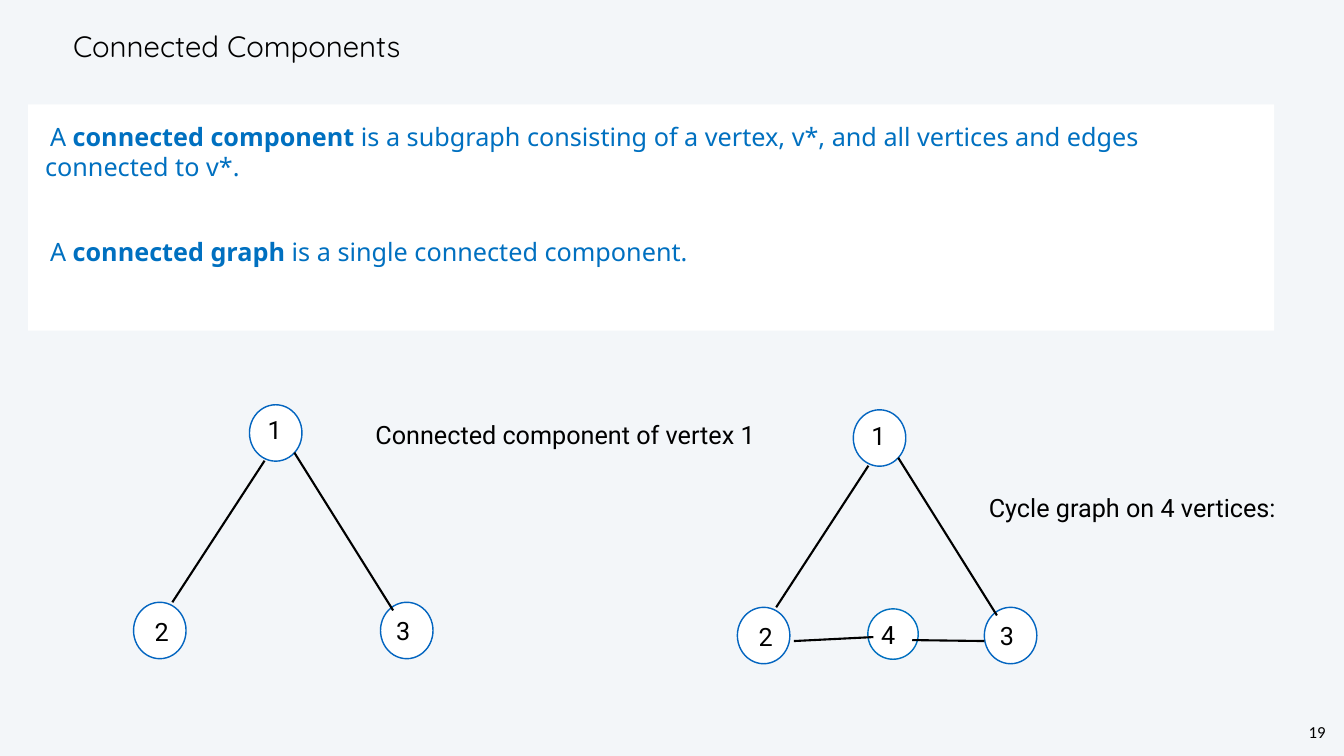
"""Build the slide on connected components."""
import lxml.etree
import pptx
import pptx.dml.color
import pptx.enum.shapes
import pptx.enum.text
import pptx.oxml.ns
import pptx.util

Pt = pptx.util.Pt
Align = pptx.enum.text.PP_ALIGN
Anchor = pptx.enum.text.MSO_ANCHOR
AutoSize = pptx.enum.text.MSO_AUTO_SIZE

COLORS = {
    "background": "F3F6F9",
    "panel": "FFFFFF",
    "ink": "000000",
    "definition": "0070C0",
    "vertex": "0365C0",
}
FONTS = {
    "title": {"name": "Quicksand", "size": Pt(42), "bold": False},
    "definition": {"name": "Noto Sans", "size": Pt(36)},
    "label": {"name": "Roboto", "size": Pt(36)},
    "number": {"name": "Calibri", "size": Pt(24)},
}
FRAMES = {
    "title": {"vertical_anchor": Anchor.MIDDLE, "auto_size": AutoSize.NONE},
    "definition": {"vertical_anchor": Anchor.TOP, "auto_size": AutoSize.NONE},
    "label": {"vertical_anchor": Anchor.MIDDLE, "auto_size": AutoSize.SHAPE_TO_FIT_TEXT},
    "number": {"vertical_anchor": Anchor.TOP, "auto_size": AutoSize.SHAPE_TO_FIT_TEXT},
}
INSETS = {"title": 4.3, "definition": 24, "label": 4.3, "number": 3}

VERTEX_SIZE = (75, 80.6)
VERTICES = [(165.6, 0), (0, 282.2), (352.8, 282.2)]
VERTEX_LABELS = [("2", 25.9, 298.1), ("1", 187.2, 10), ("3", 370.8, 296.6)]
SIDES = [(187.2, 79.9, 55.4, 282.2), (229.7, 68.4, 370.8, 293.8)]
BASE = [(80.6, 330.4, 194.4, 324.7), (249.8, 329, 352.8, 330.4)]
DEFINITIONS = [
    ("connected component ",
     "is a subgraph consisting of a vertex, v*, and all vertices and edges connected to v*."),
    ("connected graph ", "is a single connected component."),
]


def rgb(key):
    return pptx.dml.color.RGBColor.from_string(COLORS[key])


def assign(target, values):
    for name, value in values.items():
        setattr(target, name, value)


class GraphSlide:
    """Holds the style and the current slide."""

    def __init__(self, deck):
        self.slide = deck.slides.add_slide(deck.slide_layouts[1])
        self.paint(self.slide.background.fill, "background")

    def paint(self, fill, color):
        fill.solid()
        fill.fore_color.rgb = rgb(color)

    def place(self, shape, left, top, width, height):
        assign(shape, {"left": Pt(left), "top": Pt(top), "width": Pt(width), "height": Pt(height)})

    def frame(self, shape, style, wrap=True):
        inset = Pt(INSETS[style])
        sides = ("margin_left", "margin_top", "margin_right", "margin_bottom")
        assign(shape.text_frame, dict.fromkeys(sides, inset) | FRAMES[style] | {"word_wrap": wrap})
        return shape.text_frame

    def add_words(self, paragraph, text, style, color="ink", **extra):
        run = paragraph.add_run()
        run.text = text
        assign(run.font, FONTS[style] | extra)
        run.font.color.rgb = rgb(color)

    def title(self, text, *box):
        heading = self.slide.shapes.title
        self.place(heading, *box)
        paragraph = self.frame(heading, "title").paragraphs[0]
        assign(paragraph, {"alignment": Align.LEFT, "line_spacing": Pt(50)})
        self.add_words(paragraph, text, "title")

    def definitions(self, entries, *box):
        panel = self.slide.placeholders[1]
        self.place(panel, *box)
        self.paint(panel.fill, "panel")
        frame = self.frame(panel, "definition")
        for index, (term, meaning) in enumerate(entries):
            paragraph = frame.add_paragraph() if index else frame.paragraphs[0]
            properties = paragraph._p.get_or_add_pPr()
            properties.set("marL", "0")
            properties.set("indent", str(Pt(7.2)))
            lxml.etree.SubElement(properties, pptx.oxml.ns.qn("a:buNone"))
            assign(paragraph, {"alignment": Align.LEFT, "line_spacing": Pt(43),
                               "space_before": Pt(79 if index else 0)})
            for text, bold in (("A ", False), (term, True), (meaning, False)):
                self.add_words(paragraph, text, "definition", "definition", bold=bold)

    def text(self, text, *box, shapes=None, style="label", wrap=False, **layout):
        label = (shapes or self.slide.shapes).add_textbox(*map(Pt, box))
        paragraph = self.frame(label, style, wrap).paragraphs[0]
        assign(paragraph, layout)
        self.add_words(paragraph, text, style)

    def vertex(self, shapes, *box, color="vertex"):
        circle = shapes.add_shape(pptx.enum.shapes.MSO_SHAPE.OVAL, *map(Pt, box))
        circle.shadow.inherit = False
        self.paint(circle.fill, "panel")
        circle.line.width = Pt(2)
        circle.line.color.rgb = rgb(color)

    def edge(self, shapes, *ends):
        line = shapes.add_connector(pptx.enum.shapes.MSO_CONNECTOR.STRAIGHT, *map(Pt, ends))
        line.line.width = Pt(3)
        line.line.color.rgb = rgb("ink")
        lxml.etree.SubElement(line._element.spPr, pptx.oxml.ns.qn("a:effectLst"))

    def graph(self, left, top, cycle=False):
        shapes = self.slide.shapes.add_group_shape().shapes
        for x, y in VERTICES:
            self.vertex(shapes, left + x, top + y, *VERTEX_SIZE)
        for name, x, y in VERTEX_LABELS:
            self.text(name, left + x, top + y, 78, 52, shapes=shapes, wrap=True)
        if cycle:
            self.vertex(shapes, left + 186.4, top + 284.4, 72, 72, color="definition")
        for x1, y1, x2, y2 in SIDES + (BASE if cycle else []):
            self.edge(shapes, left + x1, top + y1, left + x2, top + y2)
        if cycle:
            self.text("4", left + 200.9, top + 295.2, 78, 52, wrap=True)


def main():
    deck = pptx.Presentation()
    assign(deck, {"slide_width": Pt(1920), "slide_height": Pt(1080)})
    page = GraphSlide(deck)
    page.title("Connected Components", 100, 30, 1628.6, 71.3)
    page.definitions(DEFINITIONS, 40.3, 149, 1779.8, 323.3)
    page.graph(1053.4, 585.4, cycle=True)
    page.text("Cycle graph on 4 vertices:", 1408.3, 698.4, 428.4, 52)
    page.graph(190.8, 578.2)
    page.text("Connected component of vertex 1", 532, 594.7, 553.7, 52)
    page.text("19", 1866.2, 1028.9, 31, 33.8, style="number",
              alignment=Align.CENTER, line_spacing=Pt(28))
    deck.save("out.pptx")


if __name__ == "__main__":
    main()
